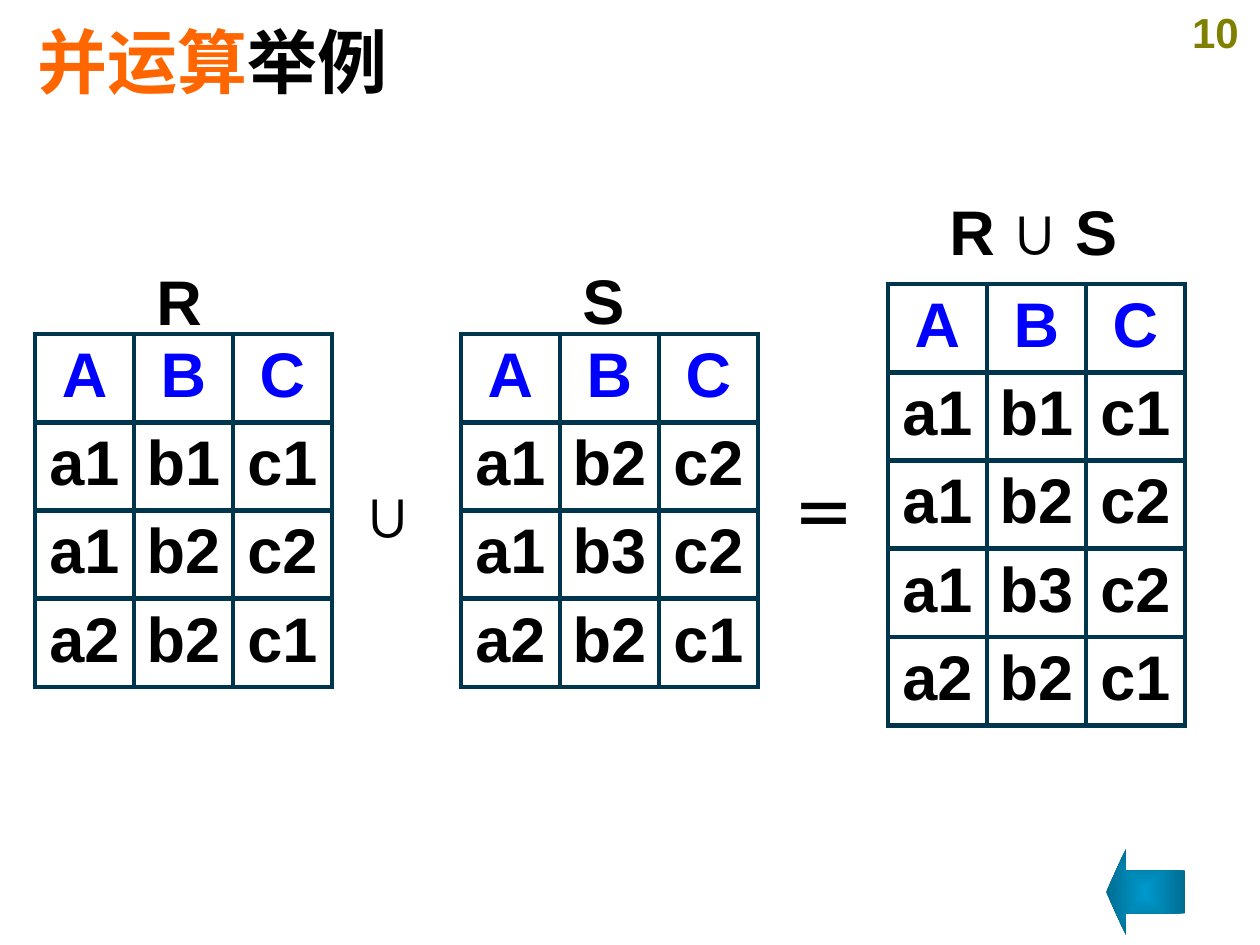
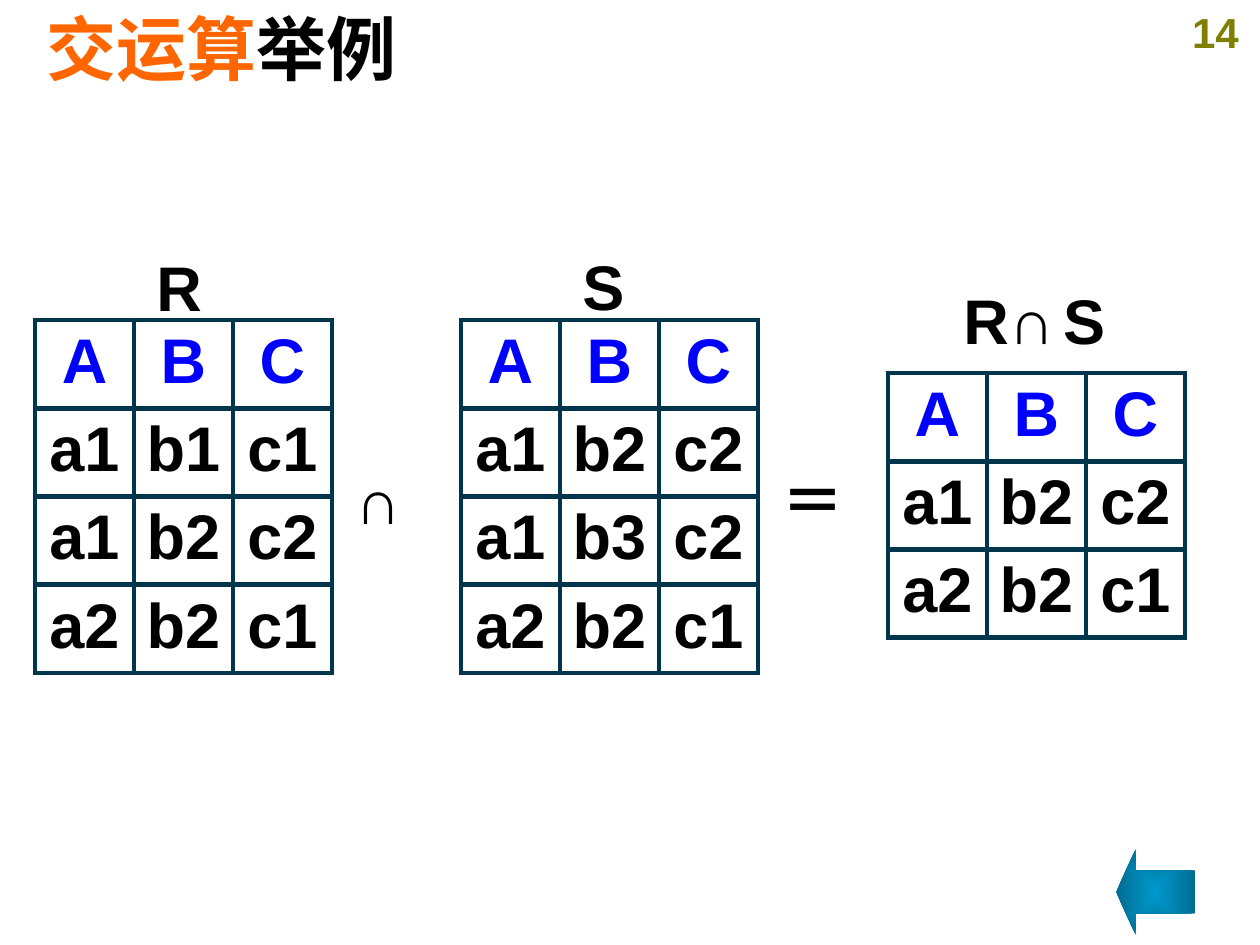
"""Build two slides showing the union and the intersection of relations R and S."""
from lxml.etree import SubElement as Sub
from pptx import Presentation
from pptx.dml.color import RGBColor as RGB
from pptx.enum.shapes import MSO_SHAPE as Shape
from pptx.enum.text import MSO_ANCHOR as Anchor, MSO_AUTO_SIZE as Auto, PP_ALIGN as Align
from pptx.oxml.ns import qn
from pptx.util import Pt

PX = 914400 / 126
INK, HEAD, EDGE = "000000", "0000FF", "00354E"
HOT, PAGE = "FF6600", "808000"
COL, ROW = 99, 88
R = [("a1", "b1", "c1"), ("a1", "b2", "c2"), ("a2", "b2", "c1")]
S = [("a1", "b2", "c2"), ("a1", "b3", "c2"), ("a2", "b2", "c1")]


def style(para, size, color, align=Align.LEFT):
    """Set the alignment and the bold font of one paragraph."""
    para.alignment = align
    font = para.font
    font.name, font.size, font.bold = "Arial", Pt(size), True
    font.color.rgb = RGB.from_string(color)


def label(slide, bits, x, y, w, h=88, size=36, color=INK, align=Align.LEFT):
    """Add a text box with one run for each bit."""
    box = slide.shapes.add_textbox(*[round(n * PX) for n in (x, y, w, h)])
    box.text_frame.word_wrap = True
    para = box.text_frame.paragraphs[0]
    style(para, size, color, align)
    for bit in bits:
        run = para.add_run()
        run.text = bit
        if bit == " ":
            run.font.size = Pt(18)


deck = Presentation()
deck.slide_width, deck.slide_height = round(1260 * PX), round(945 * PX)

pages = [
    dict(num="10", name="并运算", place=(25, 26, 1193, 69), top=334,
         sign="∪", sign_x=353, same_x=780, rows=sorted({*R, *S}), goal=284,
         bits=["R ∪ S"], bits_x=937, bits_w=218, back=1106),
    dict(num="14", name="交运算", place=(34, 10, 1111, 76), top=320,
         sign="∩", sign_x=343, same_x=769, rows=sorted({*R} & {*S}), goal=373,
         bits=["R∩", " ", "S"], bits_x=951, bits_w=185, back=1116),
]

for page in pages:
    slide = deck.slides.add_slide(deck.slide_layouts[5])
    top, goal = page["top"], page["goal"]
    label(slide, [page["num"]], 1171, 0, 89, 63, 24, PAGE, Align.CENTER)

    title = slide.shapes.title
    title.left, title.top, title.width, title.height = [round(n * PX) for n in page["place"]]
    frame = title.text_frame
    frame.auto_size, frame.vertical_anchor = Auto.NONE, Anchor.MIDDLE
    para = frame.paragraphs[0]
    style(para, 40, INK)
    for text, color in ((page["name"], HOT), ("举例", INK)):
        run = para.add_run()
        run.text = text
        run.font.color.rgb = RGB.from_string(color)
        Sub(run.font._element, qn("a:ea"), typeface="Noto Sans CJK SC")

    label(slide, ["R"], 144, top - 78, 71)
    label(slide, ["S"], 570, top - 79, 67)
    label(slide, page["bits"], page["bits_x"], goal - 98, page["bits_w"])
    label(slide, [page["sign"]], page["sign_x"], top + 135, 88)
    label(slide, ["＝"], page["same_x"], top + 135, 88)

    for x, y, rows in ((35, top, R), (461, top, S), (888, goal, page["rows"])):
        lines = [("A", "B", "C"), *rows]
        size = [round(n * PX) for n in (x, y, 3 * COL, ROW * len(lines))]
        table = slide.shapes.add_table(len(lines), 3, *size).table
        table.first_row = table.horz_banding = False
        for i, line in enumerate(lines):
            for j, text in enumerate(line):
                cell = table.cell(i, j)
                cell.text = text
                style(cell.text_frame.paragraphs[0], 36, INK if i else HEAD, Align.CENTER)
                props = cell._tc.get_or_add_tcPr()
                for side in "LRTB":
                    edge = Sub(props, qn(f"a:ln{side}"), w=str(Pt(3)))
                    Sub(Sub(edge, qn("a:solidFill")), qn("a:srgbClr"), val=EDGE)
                cell.fill.background()

    size = [round(n * PX) for n in (page["back"], 849, 79, 86)]
    arrow = slide.shapes.add_shape(Shape.LEFT_ARROW, *size)
    arrow.shadow.inherit = False
    arrow.adjustments[0], arrow.adjustments[1] = 0.5, 0.25
    arrow.line.fill.background()
    arrow.fill.gradient()
    for stop, color, pos in zip(arrow.fill.gradient_stops, ("0099CC", "006D92"), (0, 1)):
        stop.color.rgb, stop.position = RGB.from_string(color), pos
    grad = arrow._element.spPr.find(qn("a:gradFill"))
    grad.remove(grad.find(qn("a:lin")))
    focus = Sub(grad, qn("a:path"), path="rect")
    Sub(focus, qn("a:fillToRect"), l="50000", t="50000", r="50000", b="50000")

deck.save("out.pptx")
